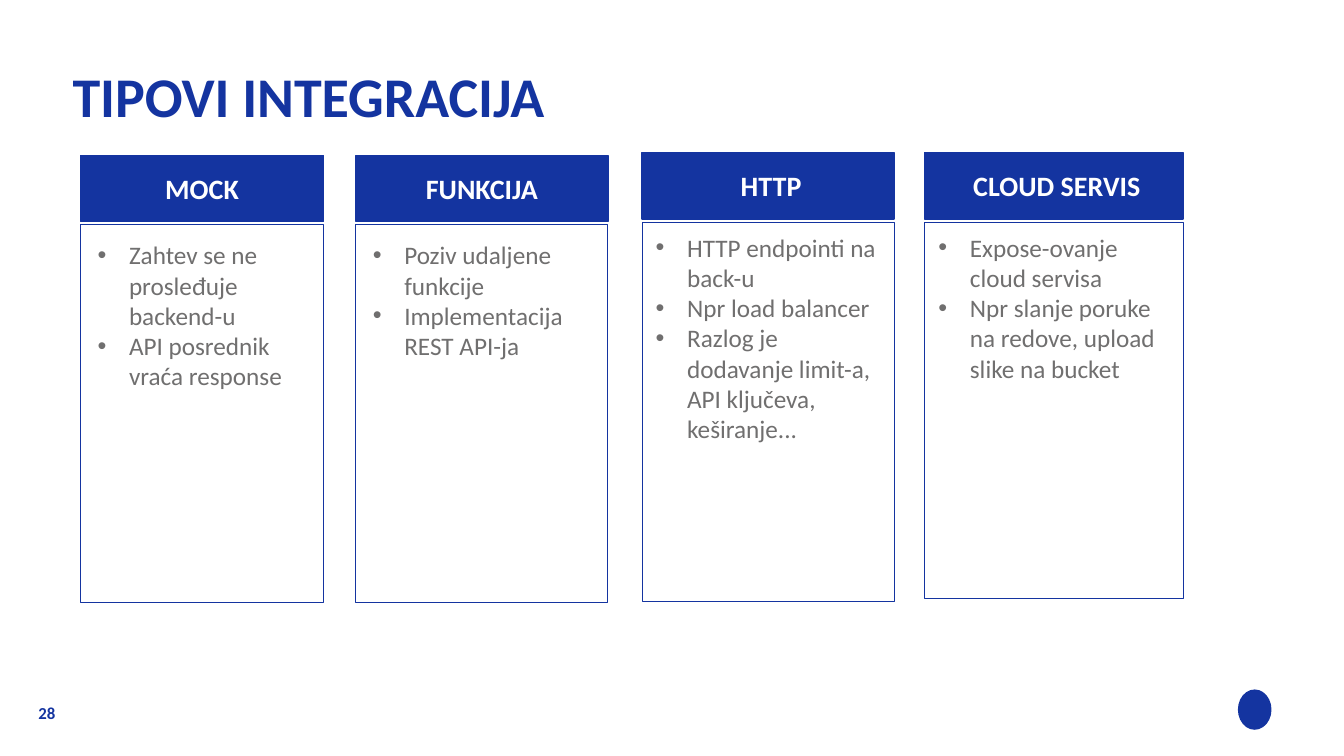
from dataclasses import dataclass

from lxml.etree import SubElement
from pptx import Presentation
from pptx.dml.color import RGBColor as RGB
from pptx.enum.shapes import MSO_SHAPE as SHAPE
from pptx.enum.text import MSO_ANCHOR as ANCHOR, PP_ALIGN as ALIGN
from pptx.oxml.ns import qn
from pptx.util import Pt

COLORS = {"blue": "1434A0", "gray": "706F6F", "white": "FFFFFF"}
FORMATS = {
    "title": {"size": Pt(40), "bold": True, "color": "blue"},
    "number": {"size": Pt(12), "bold": True, "color": "blue"},
    "header": {"size": Pt(20), "bold": True, "color": "white"},
    "body": {"size": Pt(18), "bold": False, "color": "gray"},
}
HEADER_H = 47.5
PANEL_OFFSET = 49.7
BULLET_INDENT = 22.5


@dataclass
class Column:
    title: str
    bullets: list[str]
    left: float
    top: float
    width: float
    panel_h: float
    pad_x: float
    pad_y: float


COLUMNS = [
    Column("MOCK", ["Zahtev se ne prosleđuje backend-u", "API posrednik vraća response"],
           57.6, 110.9, 173.5, 269.6, 5, 7),
    Column("FUNKCIJA", ["Poziv udaljene funkcije", "Implementacija REST API-ja"],
           254.2, 110.9, 180, 269.6, 5, 7),
    Column(" HTTP", ["HTTP endpointi na back-u", "Npr load balancer",
                     "Razlog je dodavanje limit-a, API ključeva, keširanje..."],
           458.6, 108.9, 180, 270.7, 2.6, 3.6),
    Column(" CLOUD SERVIS", ["Expose-ovanje cloud servisa",
                             "Npr slanje poruke na redove, upload slike na bucket"],
           660.2, 108.9, 185, 268.6, 3, 3.6),
]


def rgb(name: str) -> RGB:
    return RGB.from_string(COLORS[name])


def add_run(p, text: str, style: str) -> None:
    r = p.add_run()
    r.text = text
    r.font.name = "Calibri"
    for key, value in FORMATS[style].items():
        if key == "color":
            r.font.color.rgb = rgb(value)
        else:
            setattr(r.font, key, value)


def set_frame(tf, inset_x: float, inset_y: float, wrap: bool, anchor) -> None:
    values = {"margin_left": Pt(inset_x), "margin_right": Pt(inset_x),
              "margin_top": Pt(inset_y), "margin_bottom": Pt(inset_y),
              "word_wrap": wrap, "vertical_anchor": anchor}
    for key, value in values.items():
        setattr(tf, key, value)


def add_box(s, kind, left: float, top: float, width: float, height: float,
            fill: str, line: float = 0):
    sp = s.shapes.add_shape(kind, Pt(left), Pt(top), Pt(width), Pt(height))
    sp.shadow.inherit = False
    sp.fill.solid()
    sp.fill.fore_color.rgb = rgb(fill)
    if line:
        sp.line.color.rgb = rgb("blue")
        sp.line.width = Pt(line)
    else:
        sp.line.fill.background()
    return sp


def add_label(s, text: str, style: str, left: float, top: float,
              width: float, height: float):
    sp = s.shapes.add_textbox(Pt(left), Pt(top), Pt(width), Pt(height))
    set_frame(sp.text_frame, 0, 0, True, ANCHOR.MIDDLE)
    p = sp.text_frame.paragraphs[0]
    add_run(p, text, style)
    return p


def add_bullets(tf, items: list[str]) -> None:
    for i, item in enumerate(items):
        p = tf.add_paragraph() if i else tf.paragraphs[0]
        pPr = p._p.get_or_add_pPr()
        pPr.set("marL", str(Pt(BULLET_INDENT)))
        pPr.set("indent", str(-Pt(BULLET_INDENT)))
        SubElement(pPr, qn("a:buFont")).set("typeface", "Arial")
        SubElement(pPr, qn("a:buChar")).set("char", "•")
        add_run(p, item, "body")


def add_column(s, col: Column) -> None:
    panel_top = col.top + PANEL_OFFSET
    add_box(s, SHAPE.RECTANGLE, col.left, panel_top, col.width, col.panel_h, "white", 0.5)
    header = add_box(s, SHAPE.RECTANGLE, col.left, col.top, col.width, HEADER_H, "blue", 1)
    set_frame(header.text_frame, 6, 6, False, ANCHOR.MIDDLE)
    p = header.text_frame.paragraphs[0]
    p.alignment = ALIGN.CENTER
    add_run(p, col.title, "header")
    body = s.shapes.add_textbox(Pt(col.left + col.pad_x), Pt(panel_top + col.pad_y),
                                Pt(col.width - 2 * col.pad_x),
                                Pt(col.panel_h - 2 * col.pad_y))
    set_frame(body.text_frame, 7.2, 3.6, True, ANCHOR.TOP)
    add_bullets(body.text_frame, col.bullets)


def main() -> None:
    prs = Presentation()
    prs.slide_width, prs.slide_height = Pt(960), Pt(540)
    s = prs.slides.add_slide(prs.slide_layouts[6])
    add_box(s, SHAPE.OVAL, 884.2, 492.5, 24, 28.8, "blue")
    title = add_label(s, "TIPOVI INTEGRACIJA", "title", 51.8, 40.7, 855.4, 67)
    title.line_spacing = 0.7
    add_label(s, "28", "number", 27.4, 501.8, 21.6, 15.1)
    for col in COLUMNS:
        add_column(s, col)
    prs.save("out.pptx")


if __name__ == "__main__":
    main()
